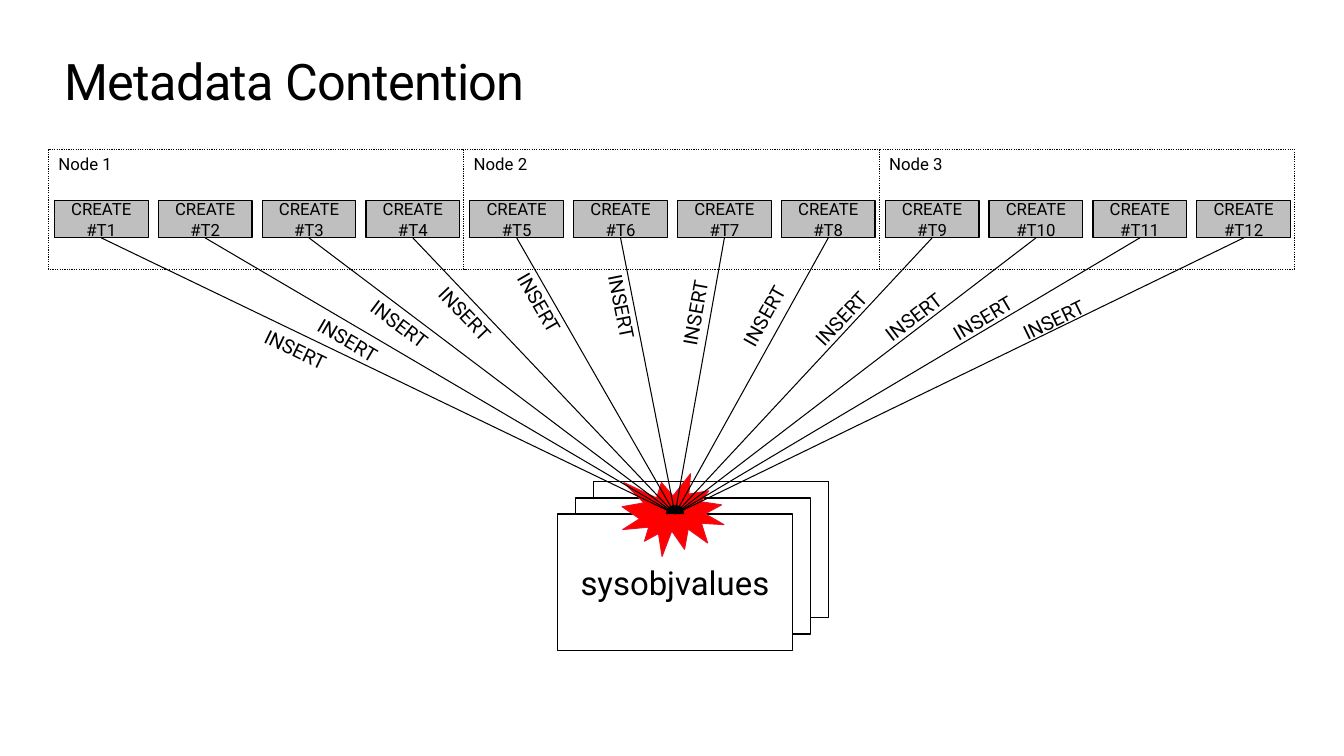
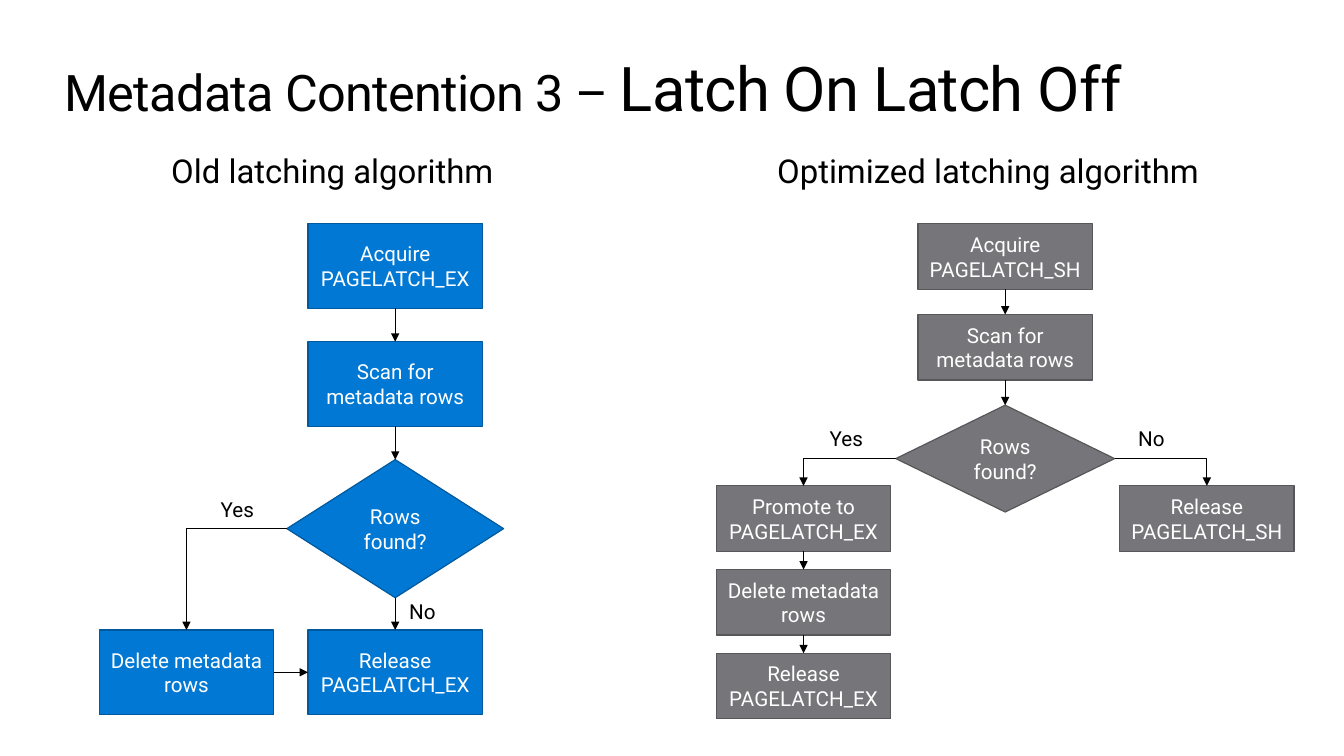
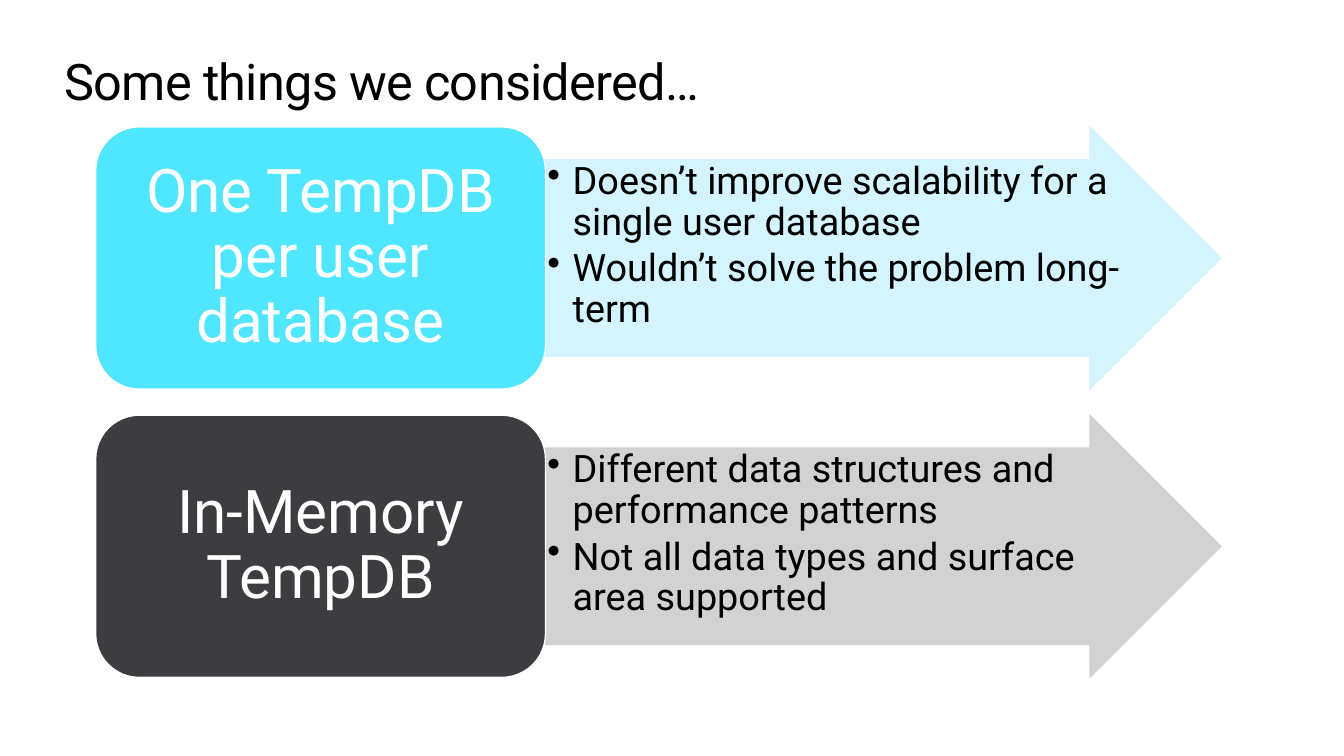
from math import atan, degrees

from lxml.etree import SubElement
from pptx import Presentation
from pptx.dml.color import RGBColor
from pptx.enum.dml import MSO_LINE
from pptx.enum.shapes import MSO_CONNECTOR as Route, MSO_SHAPE as Preset
from pptx.enum.text import MSO_ANCHOR as Anchor, PP_ALIGN as Align
from pptx.oxml.ns import qn
from pptx.util import Inches, Pt

SLIDE_W, SLIDE_H = 13.33, 7.5
FONT = "Roboto"
BLACK, WHITE = "000000", "FFFFFF"
BLUE, BLUE_EDGE = "0078D4", "00599D"
GRAY, GRAY_EDGE = "75757A", "57575A"
SILVER, RED, RED_EDGE = "BFBFBF", "FF0000", "E81123"
CYAN, PALE_CYAN, CHARCOAL, PALE_GRAY = "50E6FF", "D0F5FF", "3C3C41", "CECECF"
OUTLINE, ARROW_LINE = 0.85, 0.75
INSETS = (0.1, 0.05, 0.1, 0.05)


def rgb(hex_color):
    return RGBColor.from_string(hex_color)


def style_run(run, size, color):
    run.font.name = FONT
    run.font.size = Pt(size)
    run.font.color.rgb = rgb(color)


def write(shape, paragraphs, size, color=BLACK, align=Align.LEFT,
          anchor=Anchor.TOP, insets=INSETS, line_spacing=None):
    frame = shape.text_frame
    frame.word_wrap = True
    frame.vertical_anchor = anchor
    (frame.margin_left, frame.margin_top,
     frame.margin_right, frame.margin_bottom) = map(Inches, insets)
    frame.text = "\n".join(paragraphs)
    for paragraph in frame.paragraphs:
        paragraph.alignment = align
        paragraph.line_spacing = line_spacing
        for run in paragraph.runs:
            style_run(run, size, color)


def add_block(slide, preset, box, fill, edge, width=OUTLINE):
    block = slide.shapes.add_shape(preset, *map(Inches, box))
    block.shadow.inherit = False
    block.fill.solid()
    block.fill.fore_color.rgb = rgb(fill)
    block.line.color.rgb = rgb(edge)
    block.line.width = Pt(width)
    return block


def add_label(slide, box, text, size):
    label = slide.shapes.add_textbox(*map(Inches, box))
    write(label, [text], size)
    return label


def add_title(slide, *parts):
    """Add the heading from (text, size) parts."""
    title = slide.shapes.add_textbox(*map(Inches, (0.64, 0.5, 12.05, 0.61)))
    write(title, [""], 36, insets=(0, 0, 0, 0))
    for text, size in parts:
        run = title.text_frame.paragraphs[0].add_run()
        run.text = text
        style_run(run, size, BLACK)
        run._r.get_or_add_rPr().set("spc", "-50")


def add_arrow(slide, start, start_side, end, end_side, route=Route.STRAIGHT):
    """Join two shapes; an elbow route makes a single turn."""
    arrow = slide.shapes.add_connector(route, 0, 0, 0, 0)
    arrow.begin_connect(start, start_side)
    arrow.end_connect(end, end_side)
    arrow.line.color.rgb = rgb(BLACK)
    arrow.line.width = Pt(ARROW_LINE)
    SubElement(arrow.line._get_or_add_ln(), qn("a:tailEnd"), type="triangle")
    properties = arrow._element.spPr
    SubElement(properties, qn("a:effectLst"))
    if route == Route.ELBOW:
        properties.find(qn("a:prstGeom")).set("prst", "bentConnector2")


def add_flow(slide, step_size, decision_size, fill, edge, steps, links):
    """Draw steps {key: (text, centre x, top)} and join them by links."""
    shapes = {}
    for key, (text, center, top) in steps.items():
        is_decision = key == "decide"
        width, height = decision_size if is_decision else step_size
        preset = Preset.FLOWCHART_DECISION if is_decision else Preset.FLOWCHART_PROCESS
        step = add_block(slide, preset, (center - width / 2, top, width, height), fill, edge)
        write(step, [text], 14.7, WHITE, Align.CENTER, Anchor.MIDDLE)
        shapes[key] = step
    for start, start_side, end, end_side in links:
        turns = start_side % 2 != end_side % 2
        add_arrow(slide, shapes[start], start_side, shapes[end], end_side,
                  Route.ELBOW if turns else Route.STRAIGHT)


def make_translucent(color_format_parent):
    color = color_format_parent.find(qn("a:solidFill"))[0]
    SubElement(color, qn("a:alpha"), val="90000")


def add_option(slide, top, name, name_fill, drawbacks, arrow_fill):
    left, name_w, arrow_w, height = 0.95, 4.46, 6.7, 2.6
    arrow = add_block(slide, Preset.RIGHT_ARROW, (left + name_w, top, arrow_w, height),
                      arrow_fill, arrow_fill)
    arrow.adjustments[0], arrow.adjustments[1] = 0.75, 0.5
    make_translucent(arrow._element.spPr)
    make_translucent(arrow.line._get_or_add_ln())
    write(arrow, drawbacks, 27, insets=(0.02,) * 4, line_spacing=0.9)
    for paragraph in arrow.text_frame.paragraphs:
        paragraph.space_after = Pt(4)
        properties = paragraph._p.get_or_add_pPr()
        properties.set("marL", str(Inches(0.25)))
        properties.set("indent", str(-Inches(0.25)))
        SubElement(properties, qn("a:buChar"), char="•")
    card = add_block(slide, Preset.ROUNDED_RECTANGLE, (left, top, name_w, height),
                     name_fill, WHITE)
    write(card, [name], 43, WHITE, Align.CENTER, Anchor.MIDDLE,
          (0.18, 0.09, 0.18, 0.09), 0.9)


def draw_contention(slide):
    page_w, page_h, page_left, page_top = 2.33, 1.35, 5.53, 5.1
    for depth in (2, 1, 0):
        page = add_block(slide, Preset.RECTANGLE,
                         (page_left + 0.18 * depth, page_top - 0.16 * depth, page_w, page_h),
                         WHITE, BLACK)
    add_title(slide, ("Metadata Contention", 36))
    write(page, ["sysobjvalues"], 23.5, BLACK, Align.CENTER, Anchor.MIDDLE)
    add_block(slide, Preset.EXPLOSION1, (6.17, 4.7, 1.01, 0.82), RED, RED_EDGE, 0.75)

    node_w = 4.12
    for index in range(3):
        node = add_block(slide, Preset.RECTANGLE, (0.48 + index * node_w, 1.48, node_w, 1.19),
                         WHITE, BLACK)
        node.line.dash_style = MSO_LINE.ROUND_DOT
        write(node, [f"Node {index + 1}"], 12)

    insert_centers = [(3.1, 3.55), (3.61, 3.47), (4.11, 3.33), (4.74, 3.25),
                      (5.44, 3.17), (6.2, 3.23), (6.93, 2.92), (7.67, 2.97),
                      (8.47, 3.02), (9.21, 3.03), (9.91, 3.06), (10.62, 3.09)]
    table_w, table_h, table_top, pitch = 0.93, 0.37, 1.99, 1.03
    label_w, label_h = 1.22, 0.34
    for index, (center_x, center_y) in enumerate(insert_centers):
        table_left = 0.54 + index * pitch
        table = add_block(slide, Preset.RECTANGLE, (table_left, table_top, table_w, table_h),
                          SILVER, BLACK)
        write(table, [f"CREATE #T{index + 1}"], 12, BLACK, Align.CENTER, Anchor.MIDDLE)
        add_arrow(slide, table, 2, page, 0)
        run_x = page_left + page_w / 2 - table_left - table_w / 2
        insert = add_label(slide, (center_x - label_w / 2, center_y - label_h / 2,
                                   label_w, label_h), "INSERT", 14)
        insert.rotation = degrees(atan((page_top - table_top - table_h) / run_x))


def draw_latching(slide):
    add_title(slide, ("Metadata Contention 3 – ", 36), ("Latch On Latch Off", 44))
    add_label(slide, (1.6, 1.45, 4.29, 0.5), "Old latching algorithm", 23.5)
    add_label(slide, (7.61, 1.45, 4.95, 0.5), "Optimized latching algorithm", 23.5)

    top = 2.22
    shared_links = [("acquire", 2, "scan", 0), ("scan", 2, "decide", 0)]
    main, side, pitch = 3.92, 1.85, 1.17
    add_flow(slide, (1.73, 0.84), (2.15, 1.37), BLUE, BLUE_EDGE, {
        "acquire": ("Acquire PAGELATCH_EX", main, top),
        "scan": ("Scan for metadata rows", main, top + pitch),
        "decide": ("Rows found?", main, top + 2 * pitch),
        "delete": ("Delete metadata rows", side, 6.25),
        "release": ("Release PAGELATCH_EX", main, 6.25),
    }, shared_links + [("decide", 1, "delete", 0), ("decide", 2, "release", 0),
                       ("delete", 3, "release", 1)])

    main, offset, pitch = 9.97, 2, 0.9
    branch_top, branch_pitch = 4.82, 0.83
    yes, no = main - offset, main + offset
    add_flow(slide, (1.73, 0.65), (2.17, 1.06), GRAY, GRAY_EDGE, {
        "acquire": ("Acquire PAGELATCH_SH", main, top),
        "scan": ("Scan for metadata rows", main, top + pitch),
        "decide": ("Rows found?", main, top + 2 * pitch),
        "promote": ("Promote to PAGELATCH_EX", yes, branch_top),
        "delete": ("Delete metadata rows", yes, branch_top + branch_pitch),
        "release": ("Release PAGELATCH_EX", yes, branch_top + 2 * branch_pitch),
        "skip": ("Release PAGELATCH_SH", no, branch_top),
    }, shared_links + [("decide", 1, "promote", 0), ("decide", 3, "skip", 0),
                       ("promote", 2, "delete", 0), ("delete", 2, "release", 0)])

    for answer, left, answer_top in (("Yes", 2.09, 4.88), ("No", 3.96, 5.89),
                                     ("Yes", 8.13, 4.18), ("No", 11.19, 4.18)):
        add_label(slide, (left, answer_top, 0.86, 0.35), answer, 14.7)


def draw_options(slide):
    add_title(slide, ("Some things we considered…", 36))
    add_option(slide, 1.26, "One TempDB per user database", CYAN,
               ["Doesn’t improve scalability for a single user database",
                "Wouldn’t solve the problem long-term"], PALE_CYAN)
    add_option(slide, 4.12, "In-Memory TempDB", CHARCOAL,
               ["Different data structures and performance patterns",
                "Not all data types and surface area supported"], PALE_GRAY)


def main():
    deck = Presentation()
    deck.slide_width, deck.slide_height = Inches(SLIDE_W), Inches(SLIDE_H)
    for draw in (draw_contention, draw_latching, draw_options):
        draw(deck.slides.add_slide(deck.slide_layouts[6]))
    deck.save("out.pptx")


if __name__ == "__main__":
    main()
